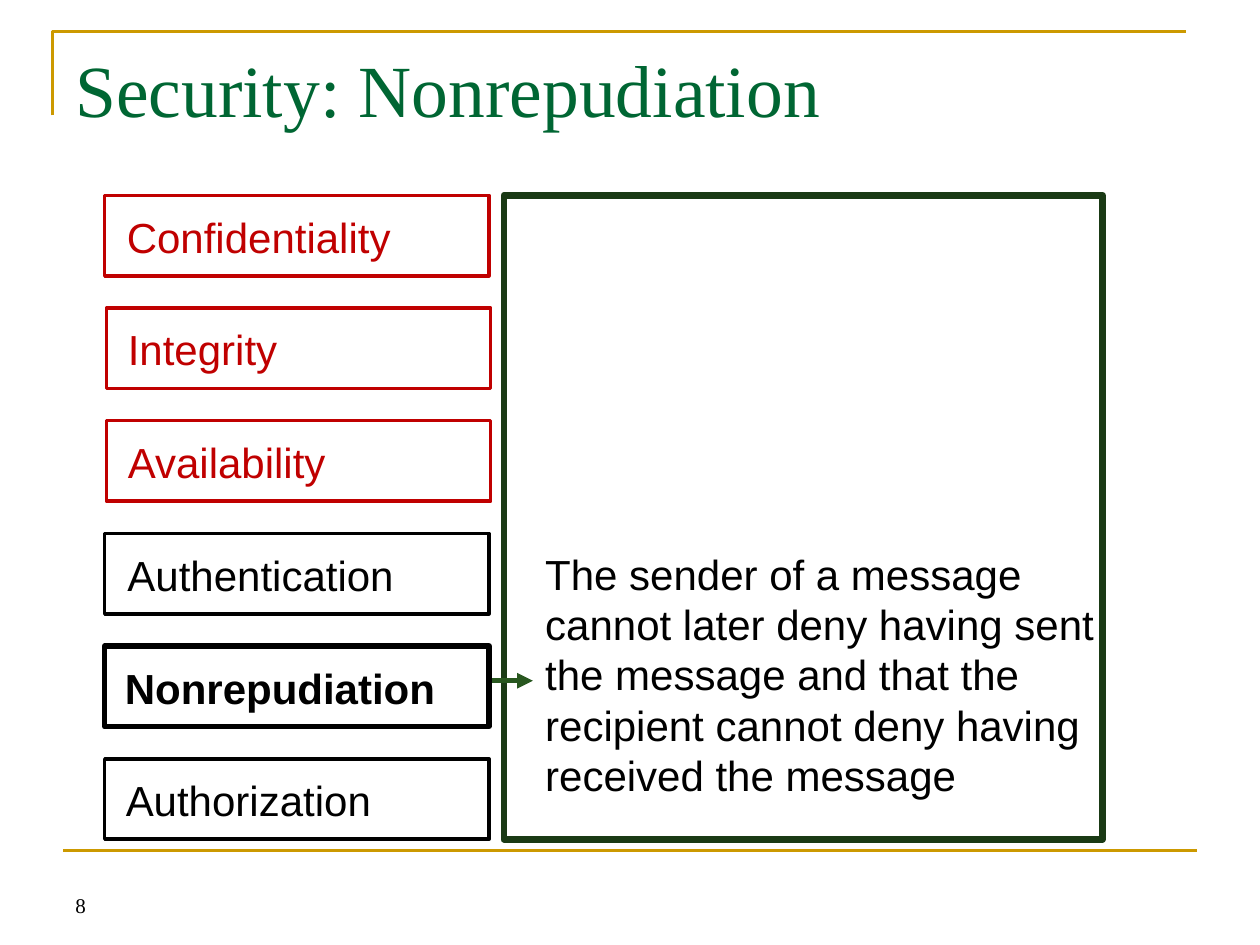
from dataclasses import dataclass

from lxml import etree
from pptx import Presentation
from pptx.dml.color import RGBColor
from pptx.enum import shapes, text
from pptx.oxml import ns
from pptx.util import Pt


@dataclass(frozen=True)
class Theme:
    gold: str = "CC9900"
    green: str = "006633"
    frame: str = "1A3A15"
    arrow: str = "28571F"
    red: str = "C00000"
    black: str = "000000"
    white: str = "FFFFFF"
    serif: str = "Times New Roman"
    sans: str = "Arial"
    head: int = 42
    body: int = 24
    small: int = 12


T = Theme()
GOALS = [  # label, colour, bold, frame shift, label inset
    ("Confidentiality", T.red, False, 0, 5.6),
    ("Integrity", T.red, False, 1, 5.2),
    ("Availability", T.red, False, 1, 5.2),
    ("Authentication", T.black, False, 0, 6),
    ("Nonrepudiation", T.black, True, 0, 4.5),
    ("Authorization", T.black, False, 0, 5),
]


def rgb(code):
    return RGBColor.from_string(code)


def stroke(line, color, width):
    line.color.rgb = rgb(color)
    line.width = Pt(width)


def write(slide, box, words, font, size, color, bold=False,
          anchor=text.MSO_ANCHOR.TOP):
    frame = slide.shapes.add_textbox(*map(Pt, box)).text_frame
    frame.word_wrap = True
    frame.vertical_anchor = anchor
    run = frame.paragraphs[0].add_run()
    run.text = words
    run.font.name, run.font.size, run.font.bold = font, Pt(size), bold
    run.font.color.rgb = rgb(color)


def rect(slide, box, color, width):
    item = slide.shapes.add_shape(shapes.MSO_SHAPE.RECTANGLE, *map(Pt, box))
    item.shadow.inherit = False
    item.fill.solid()
    item.fill.fore_color.rgb = rgb(T.white)
    stroke(item.line, color, width)


def rule(slide, start, end, color, width, tip=False):
    item = slide.shapes.add_connector(
        shapes.MSO_CONNECTOR.STRAIGHT, *map(Pt, start + end))
    stroke(item.line, color, width)
    if tip:
        etree.SubElement(item.line._get_or_add_ln(),
                         ns.qn("a:tailEnd"), type="triangle")
    etree.SubElement(item._element.spPr, ns.qn("a:effectLst"))


def border(slide, box):
    """Gold corner at the top and gold rule at the foot."""
    x, y, w, h = box
    build = slide.shapes.build_freeform(Pt(x), Pt(y + 48))
    build.add_line_segments([(Pt(x), Pt(y)), (Pt(x + w), Pt(y))], close=False)
    corner = build.convert_to_shape()
    corner.shadow.inherit = False
    corner.fill.background()
    stroke(corner.line, T.gold, 1.5)
    rule(slide, (x + 6, y + h), (x + w + 6, y + h), T.gold, 1.5)


def header(slide, box):
    write(slide, box, "Security: Nonrepudiation", T.serif, T.head, T.green)


def footer(slide, box):
    write(slide, box, "8", T.serif, T.small, T.black,
          anchor=text.MSO_ANCHOR.BOTTOM)


def panel(slide, box):
    """Framed definition, with the arrow that leads to it."""
    x, y, w, h = box
    rect(slide, box, T.frame, 4)
    write(slide, (x + 16.5, y + 198, w - 12, 151),
          "The sender of a message cannot later deny having sent the message "
          "and that the recipient cannot deny having received the message",
          T.sans, T.body, T.black)
    rule(slide, (x - 23, y + 277.4), (x + 16.5, y + 277.4), T.arrow, 3, True)


def goals(slide, box):
    """Evenly spaced column of framed security goals."""
    x, y, w, h = box
    tall = 46
    step = (h - tall) / (len(GOALS) - 1)
    for i, (name, color, bold, shift, inset) in enumerate(GOALS):
        left, top = x + shift, y + i * step
        rect(slide, (left, top, w, tall), color, 3 if bold else 2)
        write(slide, (left + inset, top + 5.6, w - 12, 36),
              name, T.sans, T.body, color, bold)


def main():
    deck = Presentation()
    deck.slide_width, deck.slide_height = Pt(720), Pt(540)
    slide = deck.slides.add_slide(deck.slide_layouts[6])
    border(slide, (30, 18, 648, 468))
    footer(slide, (36, 492, 168, 36))
    panel(slide, (288, 111.6, 342, 368))
    header(slide, (36, 21.6, 648, 90))
    goals(slide, (59.8, 111.6, 219.6, 368))
    deck.save("out.pptx")


if __name__ == "__main__":
    main()
